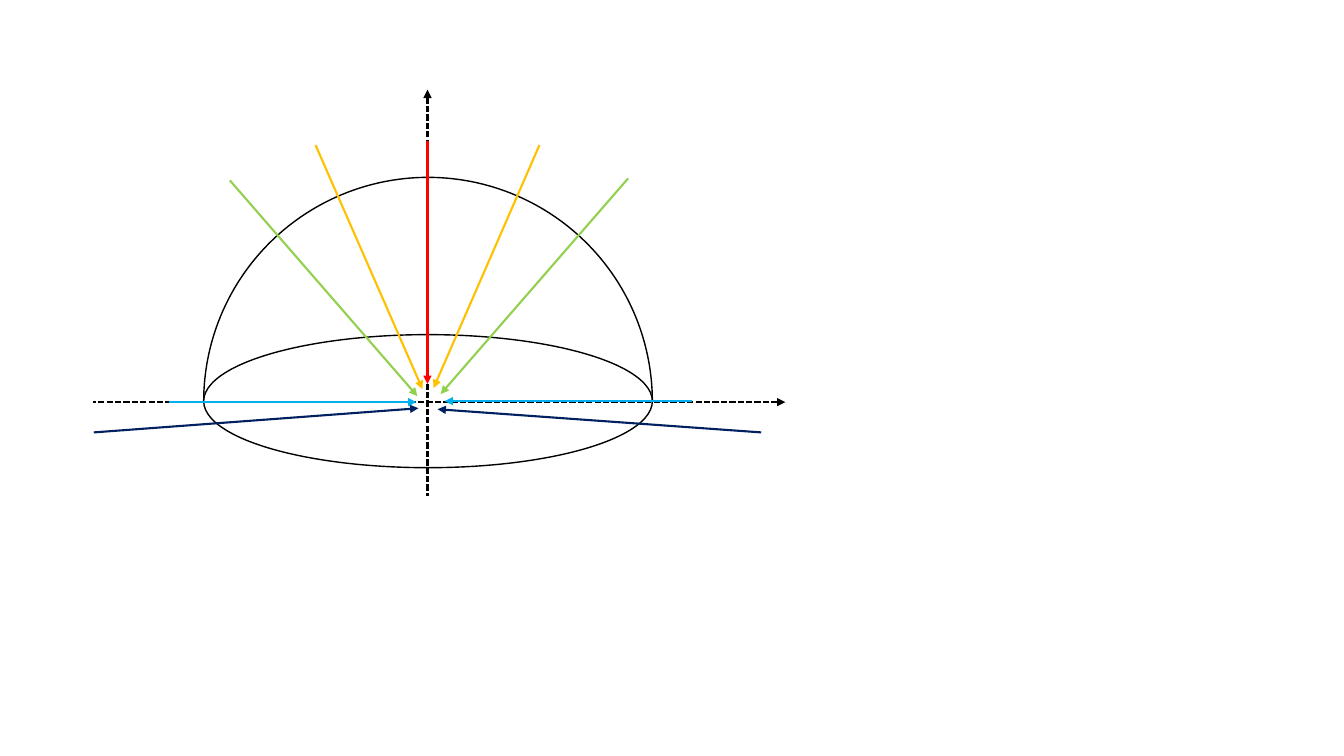
from dataclasses import dataclass

from lxml import etree
from pptx import Presentation
from pptx import util as u
from pptx.dml.color import RGBColor
from pptx.enum import dml, shapes
from pptx.oxml import ns
from pptx.shapes.autoshape import Shape
from pptx.shapes.connector import Connector
from pptx.shapes.group import GroupShape

BLACK = "000000"
WHITE = "FFFFFF"
RED = "FF0000"
GREEN = "92D050"
AMBER = "FFC000"
SKY = "00B0F0"
NAVY = "002060"

DOME_LEFT = 2.02
DOME_TOP = 1.76
DOME_WIDTH = 4.45
BASE_TOP = 3.32
BASE_HEIGHT = 1.32
HALF_TURN = 108
CENTER_X = 4.24
HORIZON_Y = 3.99


@dataclass(frozen=True)
class Arrow:
    tip: tuple[float, float]
    end: tuple[float, float]
    color: str
    dashed: bool = False


ARROWS = [
    Arrow((CENTER_X, 0.89), (CENTER_X, 4.92), BLACK, dashed=True),
    Arrow((7.79, HORIZON_Y), (0.92, HORIZON_Y), BLACK, dashed=True),
    Arrow((CENTER_X, 3.81), (CENTER_X, 1.4), RED),
    Arrow((4.37, 3.91), (6.23, 1.77), GREEN),
    Arrow((4.14, 3.93), (2.28, 1.79), GREEN),
    Arrow((4.19, 3.86), (3.13, 1.44), AMBER),
    Arrow((4.3, 3.85), (5.35, 1.44), AMBER),
    Arrow((4.41, 3.98), (6.86, 3.98), SKY),
    Arrow((4.34, 4.06), (7.55, 4.29), NAVY),
    Arrow((4.13, HORIZON_Y), (1.68, HORIZON_Y), SKY),
    Arrow((4.15, 4.05), (0.93, 4.29), NAVY),
]


def rgb(color: str) -> RGBColor:
    return RGBColor.from_string(color)


def add_outline(
    group: GroupShape, kind: shapes.MSO_SHAPE, top: float, height: float
) -> Shape:
    shape = group.shapes.add_shape(
        kind, u.Inches(DOME_LEFT), u.Inches(top), u.Inches(DOME_WIDTH), u.Inches(height)
    )
    shape.shadow.inherit = False
    shape.fill.background()
    shape.line.color.rgb = rgb(BLACK)
    shape.line.width = u.Pt(1)
    return shape


def add_arrow(group: GroupShape, arrow: Arrow) -> Connector:
    connector = group.shapes.add_connector(
        shapes.MSO_CONNECTOR.STRAIGHT,
        *(u.Inches(length) for length in arrow.tip + arrow.end),
    )
    line = connector.line
    line.color.rgb = rgb(arrow.color)
    line.width = u.Pt(1.5)
    if arrow.dashed:
        line.dash_style = dml.MSO_LINE.SQUARE_DOT
    properties = connector._element.spPr
    head = etree.SubElement(properties.find(ns.qn("a:ln")), ns.qn("a:headEnd"))
    head.set("type", "triangle")
    etree.SubElement(properties, ns.qn("a:effectLst"))
    return connector


def main() -> None:
    presentation = Presentation()
    presentation.slide_width = u.Inches(13.33)
    presentation.slide_height = u.Inches(7.5)
    slide = presentation.slides.add_slide(presentation.slide_layouts[6])
    diagram = slide.shapes.add_group_shape()

    dome = add_outline(diagram, shapes.MSO_SHAPE.PIE, DOME_TOP, DOME_WIDTH)
    dome.adjustments[0] = HALF_TURN
    dome.adjustments[1] = 0

    base = add_outline(diagram, shapes.MSO_SHAPE.OVAL, BASE_TOP, BASE_HEIGHT)
    base.fill.solid()
    base.fill.fore_color.rgb = rgb(WHITE)

    for arrow in ARROWS:
        add_arrow(diagram, arrow)

    presentation.save("out.pptx")


if __name__ == "__main__":
    main()
